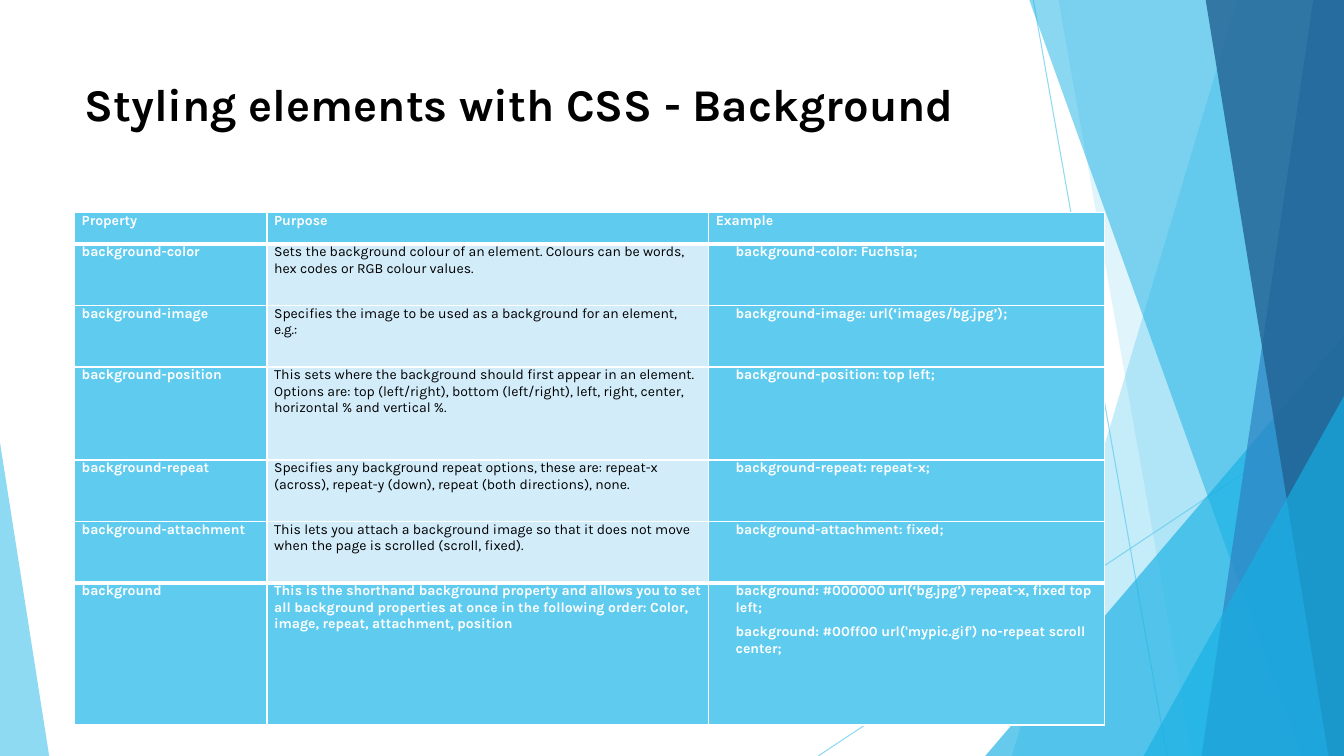
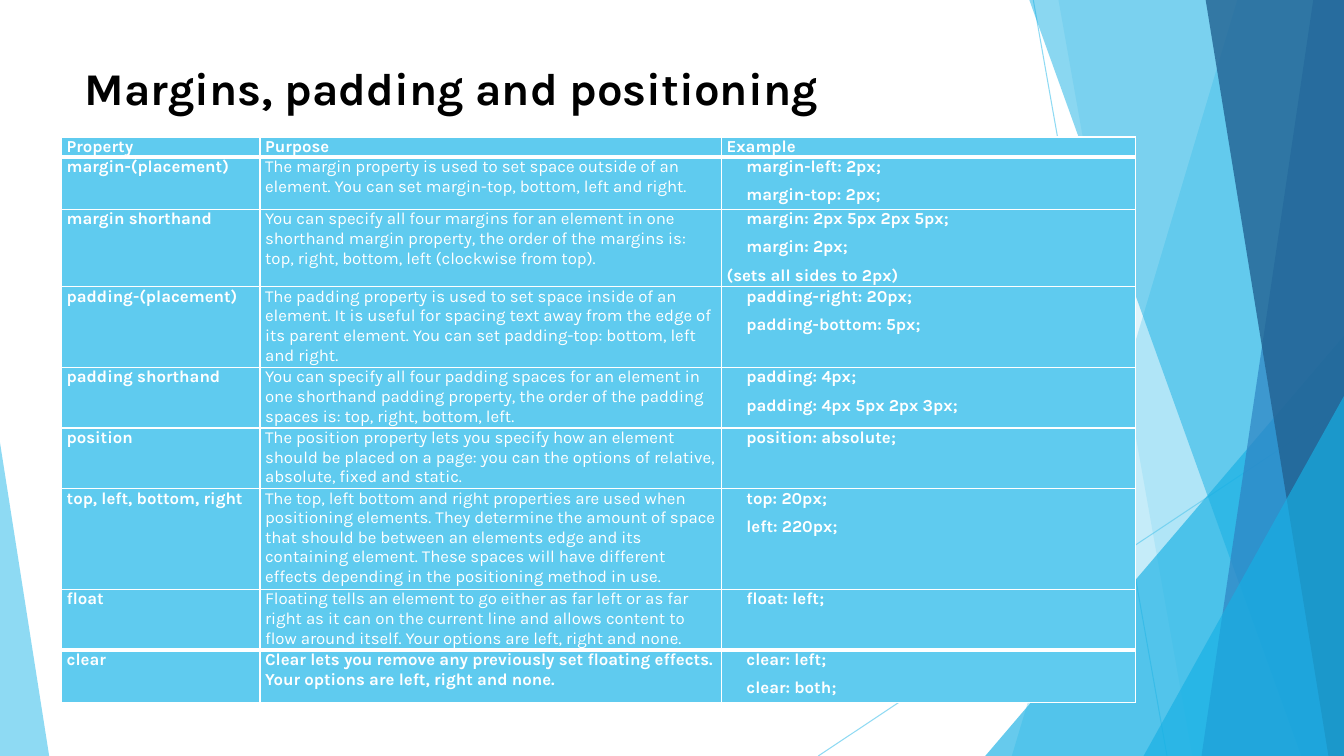
from lxml import etree
from pptx import Presentation
from pptx.dml.color import RGBColor
from pptx.enum.shapes import MSO_CONNECTOR, MSO_SHAPE
from pptx.enum.text import MSO_ANCHOR
from pptx.oxml.ns import qn
from pptx.util import Cm, Pt

STRAIGHT = MSO_CONNECTOR.STRAIGHT
TRIANGLE = MSO_SHAPE.ISOSCELES_TRIANGLE
TOP = MSO_ANCHOR.TOP

FONT = "Karla"
COLORS = {
    "sky": "5FCBEF",
    "pale": "D2ECF9",
    "cyan": "17B0E4",
    "blue": "2E83C3",
    "navy": "226292",
    "white": "FFFFFF",
    "black": "000000",
}
WIDTH, HEIGHT = 33.87, 19.05

RAYS = [((26.04, 0), (29.41, HEIGHT)), ((WIDTH, 10.24), (20.62, HEIGHT))]
BACK_PANES = [(31.19, 25.5, "sky", 36), (26.67, 30.05, "sky", 20)]
FRONT_PANES = [
    (25.93, 32.79, "cyan", 50),
    (33.1, 30.28, "blue", 70),
    (30.38, 33.48, "navy", 80),
]

HEADER = ("Property", "Purpose", "Example")
BACKGROUND_ROWS = [
    HEADER,
    ("background-color",
     "Sets the background colour of an element. Colours can be words, hex codes "
     "or RGB colour values.",
     "background-color: Fuchsia;"),
    ("background-image",
     "Specifies the image to be used as a background for an element, e.g.:",
     "background-image: url(‘images/bg.jpg’);"),
    ("background-position",
     "This sets where the background should first appear in an element. Options "
     "are: top (left/right), bottom (left/right), left, right, center, "
     "horizontal % and vertical %.",
     "background-position: top left;"),
    ("background-repeat",
     "Specifies any background repeat options, these are: repeat-x (across), "
     "repeat-y (down), repeat (both directions), none.",
     "background-repeat: repeat-x;"),
    ("background-attachment",
     "This lets you attach a background image so that it does not move when the "
     "page is scrolled (scroll, fixed).",
     "background-attachment: fixed;"),
    ("background",
     "This is the shorthand background property and allows you to set all "
     "background properties at once in the following order: Color, image, "
     "repeat, attachment, position",
     "background: #000000 url(‘bg.jpg’) repeat-x, fixed top left;\n"
     "background: #00ff00 url('mypic.gif') no-repeat scroll center;"),
]
POSITIONING_ROWS = [
    HEADER,
    ("margin-(placement)",
     "The margin property is used to set space outside of an element. You can "
     "set margin-top, bottom, left and right.",
     "margin-left: 2px;\nmargin-top: 2px;"),
    ("margin shorthand",
     "You can specify all four margins for an element in one shorthand margin "
     "property, the order of the margins is: top, right, bottom, left "
     "(clockwise from top).",
     "margin: 2px 5px 2px 5px;\nmargin: 2px;\n(sets all sides to 2px)"),
    ("padding-(placement)",
     "The padding property is used to set space inside of an element. It is "
     "useful for spacing text away from the edge of its parent element. You can "
     "set padding-top: bottom, left and right.",
     "padding-right: 20px;\npadding-bottom: 5px;"),
    ("padding shorthand",
     "You can specify all four padding spaces for an element in one shorthand "
     "padding property, the order of the padding spaces is: top, right, bottom, "
     "left.",
     "padding: 4px;\npadding: 4px 5px 2px 3px;"),
    ("position",
     "The position property lets you specify how an element should be placed on "
     "a page: you can the options of relative, absolute, fixed and static.",
     "position: absolute;"),
    ("top, left, bottom, right",
     "The top, left bottom and right properties are used when positioning "
     "elements. They determine the amount of space that should be between an "
     "elements edge and its containing element. These spaces will have different "
     "effects depending in the positioning method in use.",
     "top: 20px;\nleft: 220px;"),
    ("float",
     "Floating tells an element to go either as far left or as far right as it "
     "can on the current line and allows content to flow around itself. Your "
     "options are left, right and none.",
     "float: left;"),
    ("clear",
     "Clear lets you remove any previously set floating effects. Your options "
     "are left, right and none.",
     "clear: left;\nclear: both;"),
]


def rgb(name):
    """Return the named colour."""
    return RGBColor.from_string(COLORS[name])


def set_alpha(parent, percent):
    """Make the solid fill under an element translucent."""
    color = parent.find(".//" + qn("a:srgbClr"))
    etree.SubElement(color, qn("a:alpha")).set("val", str(percent * 1000))


def paint(sp, color, alpha):
    """Give a shape a translucent fill without line or shadow."""
    sp.shadow.inherit = False
    sp.fill.solid()
    sp.fill.fore_color.rgb = rgb(color)
    set_alpha(sp.fill._xPr.find(qn("a:solidFill")), alpha)
    sp.line.fill.background()


def add_ray(s, start, end):
    """Draw one thin translucent line."""
    ray = s.shapes.add_connector(STRAIGHT, *map(Cm, start + end))
    ray.line.color.rgb = rgb("sky")
    ray.line.width = Pt(0.75)
    sp_pr = ray._element.spPr
    set_alpha(sp_pr, 70)
    etree.SubElement(sp_pr, qn("a:effectLst"))


def add_pane(s, top_x, bottom_x, color, alpha):
    """Draw a full-height pane from a slanted edge to the right side."""
    top = Cm(-0.03)
    right, bottom = Cm(WIDTH), Cm(HEIGHT)
    builder = s.shapes.build_freeform(Cm(top_x), top)
    builder.add_line_segments([(right, top), (right, bottom), (Cm(bottom_x), bottom)])
    paint(builder.convert_to_shape(), color, alpha)


def add_wedge(s, left, width, height, apex, color, alpha):
    """Draw a right-angled triangle standing on the bottom edge."""
    sp = s.shapes.add_shape(
        TRIANGLE, Cm(left), Cm(HEIGHT - height), Cm(width), Cm(height))
    sp.adjustments[0] = apex
    paint(sp, color, alpha)


def add_backdrop(s):
    """Draw the facets shared by all slides."""
    for ray in RAYS:
        add_ray(s, *ray)
    for pane in BACK_PANES:
        add_pane(s, *pane)
    add_wedge(s, WIDTH - 9.04, 9.04, 10.59, 1, "cyan", 66)
    for pane in FRONT_PANES:
        add_pane(s, *pane)
    add_wedge(s, WIDTH - 5.05, 5.05, 9.07, 1, "cyan", 66)
    add_wedge(s, 0, 1.24, 7.9, 0, "sky", 70)


def add_run(p, text, size, color, bold):
    """Append one formatted run."""
    r = p.add_run()
    r.text = text
    r.font.name = FONT
    r.font.size = Pt(size)
    r.font.bold = bold
    r.font.color.rgb = rgb(color)


def add_title(s, text, top, height):
    """Place the slide title."""
    box = s.shapes.add_textbox(Cm(1.88), Cm(top), Cm(23.88), Cm(height))
    tf = box.text_frame
    tf.word_wrap = True
    tf.vertical_anchor = TOP
    tf.margin_top = Cm(0.22)
    add_run(tf.paragraphs[0], text, 32.4, "black", True)


def set_borders(cell, top, bottom):
    """Draw white cell borders with the given top and bottom weights."""
    tc_pr = cell._tc.get_or_add_tcPr()
    weights = (("lnL", 1), ("lnR", 1), ("lnT", top), ("lnB", bottom))
    for i, (tag, weight) in enumerate(weights):
        ln = etree.Element(qn("a:" + tag), w=str(Pt(weight)))
        fill = etree.SubElement(ln, qn("a:solidFill"))
        etree.SubElement(fill, qn("a:srgbClr"), val=COLORS["white"])
        tc_pr.insert(i, ln)


def fill_cell(cell, text, size, margin, fill, color, bold, indented):
    """Write a cell, one paragraph a line, and set its look."""
    cell.margin_left = cell.margin_right = Cm(margin)
    cell.margin_top = cell.margin_bottom = 0
    cell.fill.solid()
    cell.fill.fore_color.rgb = rgb(fill)
    tf = cell.text_frame
    for i, line in enumerate(text.split("\n")):
        p = tf.add_paragraph() if i else tf.paragraphs[0]
        p.space_after = Pt(6)
        if indented and not line.startswith("("):
            p._p.get_or_add_pPr().set("marL", str(Cm(0.5)))
        add_run(p, line, size, color, bold)


def add_property_table(s, rows, left, top, widths, heights, size, margin, body):
    """Place a property table whose purpose cells use the body colours."""
    frame = s.shapes.add_table(
        len(rows), len(widths), Cm(left), Cm(top), Cm(sum(widths)), Cm(sum(heights)))
    table = frame.table
    for column, width in zip(table.columns, widths):
        column.width = Cm(width)
    last = len(rows) - 1
    for i, texts in enumerate(rows):
        table.rows[i].height = Cm(heights[i])
        for j, text in enumerate(texts):
            cell = table.cell(i, j)
            plain = j == 1 and 0 < i < last
            fill, color = body if plain else ("sky", "white")
            fill_cell(cell, text, size, margin, fill, color, not plain,
                      j == 2 and i > 0)
            set_borders(cell, 3 if i in (1, last) else 1,
                        3 if i in (0, last - 1) else 1)


def add_slide(prs, title, title_top, title_height, **table):
    """Add a slide with backdrop, title and property table."""
    s = prs.slides.add_slide(prs.slide_layouts[6])
    add_backdrop(s)
    add_title(s, title, title_top, title_height)
    add_property_table(s, **table)


def main():
    """Build and save the presentation."""
    prs = Presentation()
    prs.slide_width, prs.slide_height = Cm(WIDTH), Cm(HEIGHT)
    add_slide(
        prs, "Styling elements with CSS - Background", 1.7, 2.11,
        rows=BACKGROUND_ROWS, left=1.88, top=5.36, widths=[4.85, 11.13, 9.98],
        heights=[0.79, 1.55, 1.55, 2.34, 1.55, 1.55, 3.58],
        size=10, margin=0.18, body=("pale", "black"))
    add_slide(
        prs, "Margins, padding and positioning", 1.3, 1.6,
        rows=POSITIONING_ROWS, left=1.55, top=3.45, widths=[5, 11.63, 10.44],
        heights=[0.43, 1.32, 0.91, 1.27, 1.22, 1.14, 1.65, 1.37, 1.32],
        size=12, margin=0.13, body=("sky", "white"))
    prs.save("out.pptx")


if __name__ == "__main__":
    main()
